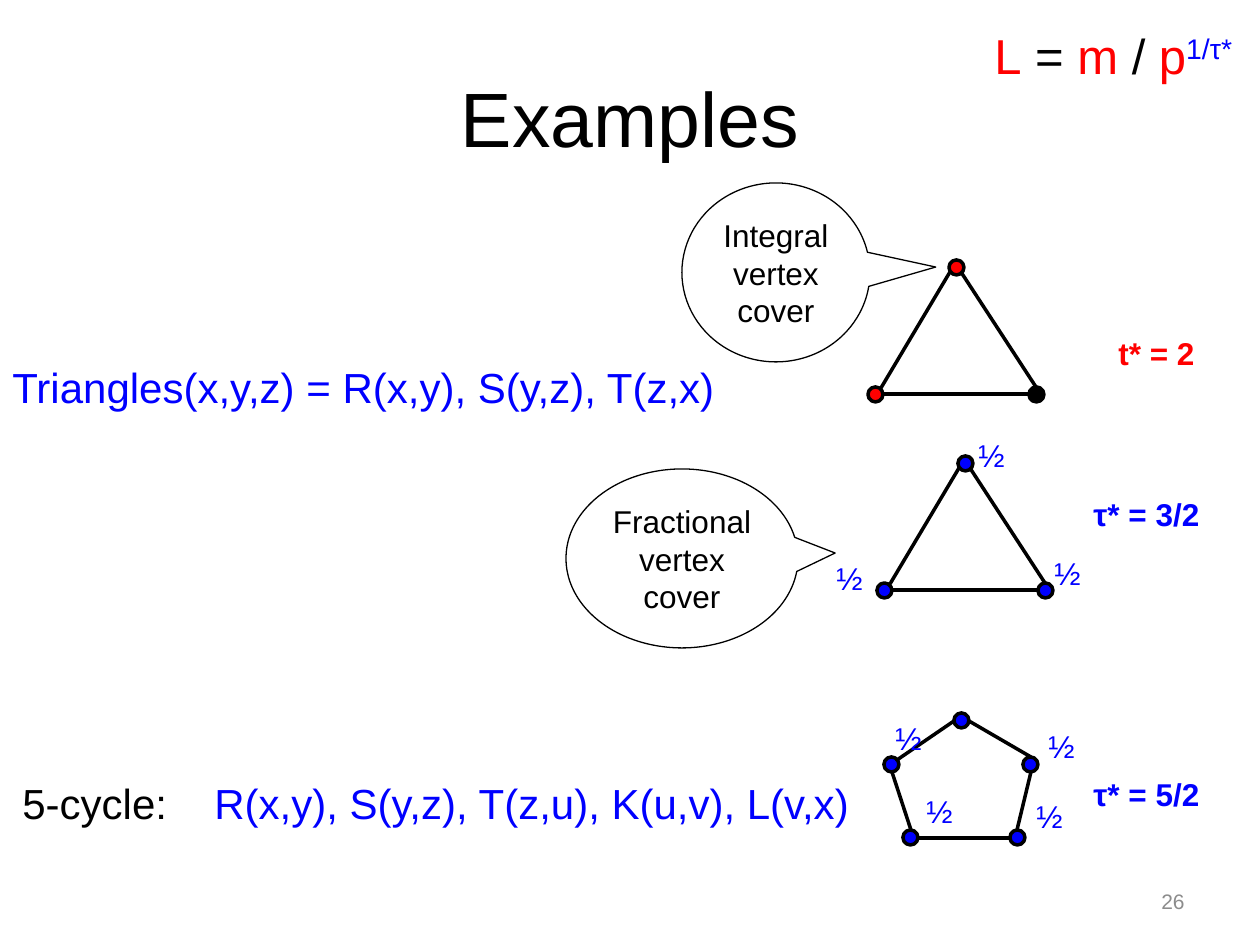
from lxml import etree
from pptx import Presentation
from pptx.dml.color import RGBColor
from pptx.enum.shapes import MSO_CONNECTOR, MSO_SHAPE
from pptx.enum.text import MSO_ANCHOR, PP_ALIGN
from pptx.oxml.ns import qn
from pptx.util import Pt

BLACK = RGBColor(0, 0, 0)
RED = RGBColor(255, 0, 0)
BLUE = RGBColor(0, 0, 255)
GRAY = RGBColor(140, 140, 140)
LINE = MSO_CONNECTOR.STRAIGHT
OVAL = MSO_SHAPE.OVAL
CALLOUT = MSO_SHAPE.OVAL_CALLOUT
MIDDLE = MSO_ANCHOR.MIDDLE
CENTER = PP_ALIGN.CENTER
RIGHT = PP_ALIGN.RIGHT
SCALE = 914400 / 126
DOT = 15


def px(*values):
    return [round(value * SCALE) for value in values]


def label(box, parts, size, bold=False):
    frame = slide.shapes.add_textbox(*px(*box)).text_frame
    para = frame.paragraphs[0]
    para.font.name = "Arial"
    para.font.size = Pt(size)
    para.font.bold = bold
    for text, color in parts:
        run = para.add_run()
        run.text = text
        run.font.color.rgb = color
    return frame


prs = Presentation()
prs.slide_width, prs.slide_height = px(1260, 945)
slide = prs.slides.add_slide(prs.slide_layouts[5])

title = slide.shapes.title
title.left, title.top, title.width, title.height = px(63, 38, 1134, 157)
title.text_frame.text = "Examples"
title.text_frame.vertical_anchor = MIDDLE
head = title.text_frame.paragraphs[0]
head.alignment = CENTER
head.font.name = "Arial"
head.font.size = Pt(44)
head.font.color.rgb = BLACK

number = label((903, 876, 294, 50), [("26", GRAY)], 12)
number.word_wrap = True
number.vertical_anchor = MIDDLE
number.paragraphs[0].alignment = RIGHT

corners = [(868, 387), (1029, 387), (949, 260)]
sides = [(1036, 387, 961, 272), (1029, 394, 882, 394), (950, 272, 881, 388)]
ring = [(903, 830), (1010, 830), (884, 757), (1023, 757), (954, 713)]
edges = [
    (1017, 830, 1031, 772),
    (1010, 838, 919, 838),
    (892, 772, 911, 830),
    (1031, 757, 969, 721),
    (954, 721, 897, 760),
]
graphs = [
    (corners, sides, [RED, BLACK, RED], 0, 0),
    (corners, sides, [BLUE] * 3, 9, 196),
    (ring, edges, [BLUE] * 5, 0, 0),
]
for dots, lines, fills, dx, dy in graphs:
    for (x, y), fill in zip(dots, fills):
        dot = slide.shapes.add_shape(OVAL, *px(x + dx, y + dy, DOT, DOT))
        dot.shadow.inherit = False
        dot.fill.solid()
        dot.fill.fore_color.rgb = fill
        dot.line.color.rgb = BLACK
        dot.line.width = Pt(2)
    for x1, y1, x2, y2 in lines:
        ends = px(x1 + dx, y1 + dy, x2 + dx, y2 + dy)
        edge = slide.shapes.add_connector(LINE, *ends)
        edge.line.color.rgb = BLACK
        edge.line.width = Pt(2)
        etree.SubElement(edge._element.spPr, qn("a:effectLst"))

label((0, 355, 735, 63), [("Triangles(x,y,z) = R(x,y), S(y,z), T(z,x)", BLUE)], 24)
bound = [("L", RED), (" = ", BLACK), ("m", RED), (" / ", BLACK), ("p", RED), ("1/τ*", BLUE)]
load = label((982, 19, 271, 72), bound, 28)
load.paragraphs[0].runs[-1]._r.get_or_add_rPr().set("baseline", "30000")

query = [("5-cycle:\t", BLACK), ("R(x,y), S(y,z), T(z,u), K(u,v), L(v,x)", BLUE)]
cycle = label((10, 771, 859, 63), query, 24)
cycle.word_wrap = True
props = cycle.paragraphs[0]._p.get_or_add_pPr()
tabs = etree.Element(qn("a:tabLst"))
etree.SubElement(tabs, qn("a:tab"), pos=str(px(192)[0]), algn="l")
props.insert(0, tabs)

covers = [
    (1106, 328, 102, "t* = 2", RED),
    (1081, 489, 132, "τ* = 3/2", BLUE),
    (1081, 769, 132, "τ* = 5/2", BLUE),
]
for x, y, width, text, color in covers:
    label((x, y, width, 50), [(text, color)], 18, True)

halves = [(966, 430), (1042, 548), (824, 553), (1024, 791), (1036, 721), (914, 786), (883, 713)]
for x, y in halves:
    label((x, y, 52, 50), [("½", BLUE)], 18)

notes = [
    ((682, 183, 188, 179), "Integral\nvertex\ncover", 0.85, -0.03),
    ((566, 469, 232, 179), "Fractional\nvertex\ncover", 0.66, -0.03),
]
for box, text, tipx, tipy in notes:
    note = slide.shapes.add_shape(CALLOUT, *px(*box))
    note.adjustments[0] = tipx
    note.adjustments[1] = tipy
    note.shadow.inherit = False
    note.fill.background()
    note.line.color.rgb = BLACK
    note.line.width = Pt(0.75)
    note.text_frame.word_wrap = False
    note.text_frame.vertical_anchor = MIDDLE
    para = note.text_frame.paragraphs[0]
    para.text = text
    para.alignment = CENTER
    para.font.name = "Arial"
    para.font.size = Pt(18)
    para.font.color.rgb = BLACK

prs.save("out.pptx")
